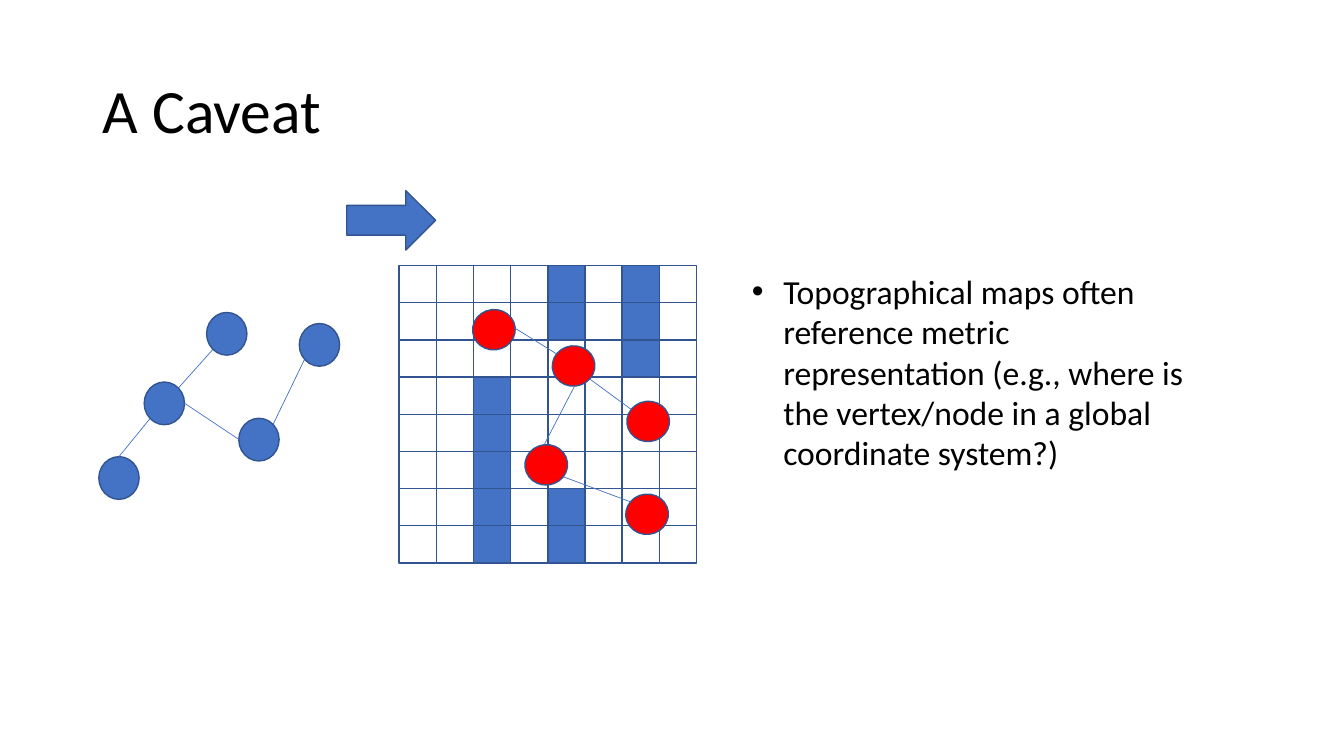
from dataclasses import dataclass
from lxml.etree import SubElement
from pptx import Presentation
from pptx.dml.color import RGBColor
from pptx.enum.shapes import MSO_CONNECTOR as Line, MSO_SHAPE as Kind
from pptx.enum.text import MSO_ANCHOR as Anchor, MSO_AUTO_SIZE as AutoSize, PP_ALIGN as Align
from pptx.oxml.ns import qn
from pptx.util import Pt


@dataclass(frozen=True)
class Theme:
    font: str = "Calibri"
    title_size: float = 44
    body_size: float = 24
    text: RGBColor = RGBColor(0, 0, 0)
    blue: RGBColor = RGBColor(0x44, 0x72, 0xC4)
    outline: RGBColor = RGBColor(0x32, 0x54, 0x91)
    red: RGBColor = RGBColor(0xFF, 0, 0)
    white: RGBColor = RGBColor(0xFF, 0xFF, 0xFF)
    outline_width: float = 1
    edge_width: float = 0.5


@dataclass(frozen=True)
class Graph:
    color: RGBColor
    rotation: float
    nodes: list[tuple[float, float]]
    edges: list[tuple[float, float, float, float]]


THEME = Theme()
NODE_W, NODE_H = 28.8, 30.5
GRID_LEFT, GRID_TOP, CELL = 285.1, 189.7, 26.55
INDENT = 22.5

OCCUPANCY = [
    "....#.#.",
    "....#.#.",
    "......#.",
    "..#.....",
    "..#.....",
    "..#.....",
    "..#.#...",
    "..#.#...",
]

TOPOLOGICAL = Graph(
    THEME.blue, 0,
    [(147.6, 223.2), (213.8, 231.1), (170.6, 298.8), (103, 272.9), (70.6, 326.2)],
    [(85, 326.2, 107.3, 298.8), (127.4, 277.2, 151.9, 249.8),
     (131.8, 288, 170.6, 313.9), (195.1, 303.1, 217.4, 257)],
)
METRIC = Graph(
    THEME.red, 83.9,
    [(448.6, 285.8), (447.8, 352.1), (375.8, 316.8), (395.3, 246.2), (338.4, 220.3)],
    [(367.2, 234, 397.4, 252.7), (421.2, 270.7, 450.7, 292.3),
     (410.4, 275.8, 388.8, 317.5), (402.5, 340.6, 450.7, 358.6)],
)


def add_filled(shapes, kind: Kind, left: float, top: float, width: float,
               height: float, color: RGBColor, rotation: float = 0) -> None:
    sp = shapes.add_shape(kind, Pt(left), Pt(top), Pt(width), Pt(height))
    sp.shadow.inherit = False
    sp.rotation = rotation
    sp.fill.solid()
    sp.fill.fore_color.rgb = color
    sp.line.color.rgb = THEME.outline
    sp.line.width = Pt(THEME.outline_width)


def add_edge(shapes, x1: float, y1: float, x2: float, y2: float) -> None:
    edge = shapes.add_connector(Line.STRAIGHT, Pt(x1), Pt(y1), Pt(x2), Pt(y2))
    edge.line.color.rgb = THEME.blue
    edge.line.width = Pt(THEME.edge_width)
    SubElement(edge._element.spPr, qn("a:effectLst"))


def add_grid(slide) -> None:
    shapes = slide.shapes.add_group_shape().shapes
    for row, marks in enumerate(OCCUPANCY):
        for col, mark in enumerate(marks):
            color = THEME.blue if mark == "#" else THEME.white
            add_filled(shapes, Kind.RECTANGLE, GRID_LEFT + col * CELL,
                       GRID_TOP + row * CELL, CELL, CELL, color)


def add_graph(slide, graph: Graph) -> None:
    shapes = slide.shapes.add_group_shape().shapes
    for left, top in graph.nodes:
        add_filled(shapes, Kind.OVAL, left, top, NODE_W, NODE_H, graph.color, graph.rotation)
    for edge in graph.edges:
        add_edge(shapes, *edge)


def format_runs(p, size: float) -> None:
    p.alignment = Align.LEFT
    for r in p.runs:
        r.font.name = THEME.font
        r.font.size = Pt(size)
        r.font.color.rgb = THEME.text


def add_title(slide) -> None:
    sp = slide.shapes.title
    sp.left, sp.top, sp.width, sp.height = Pt(66.2), Pt(28.8), Pt(828), Pt(104.4)
    tf = sp.text_frame
    tf.text = "A Caveat"
    tf.auto_size = AutoSize.NONE
    tf.vertical_anchor = Anchor.MIDDLE
    p = tf.paragraphs[0]
    p.line_spacing = 0.9
    format_runs(p, THEME.title_size)


def add_remark(slide) -> None:
    sp = slide.shapes.add_textbox(Pt(529.9), Pt(189.9), Pt(344.2), Pt(152.6))
    tf = sp.text_frame
    tf.word_wrap = True
    tf.auto_size = AutoSize.SHAPE_TO_FIT_TEXT
    tf.text = ("Topographical maps often reference metric representation "
               "(e.g., where is the vertex/node in a global coordinate system?)")
    p = tf.paragraphs[0]
    pPr = p._p.get_or_add_pPr()
    pPr.set("marL", str(Pt(INDENT)))
    pPr.set("indent", str(-Pt(INDENT)))
    SubElement(pPr, qn("a:buFont")).set("typeface", "Arial")
    SubElement(pPr, qn("a:buChar")).set("char", "•")
    format_runs(p, THEME.body_size)


def main() -> None:
    prs = Presentation()
    prs.slide_width, prs.slide_height = Pt(960), Pt(540)
    slide = prs.slides.add_slide(prs.slide_layouts[5])
    add_title(slide)
    add_grid(slide)
    add_remark(slide)
    add_graph(slide, TOPOLOGICAL)
    add_graph(slide, METRIC)
    add_filled(slide.shapes, Kind.RIGHT_ARROW, 247.7, 136.1, 63.4, 42.5, THEME.blue)
    prs.save("out.pptx")


if __name__ == "__main__":
    main()
